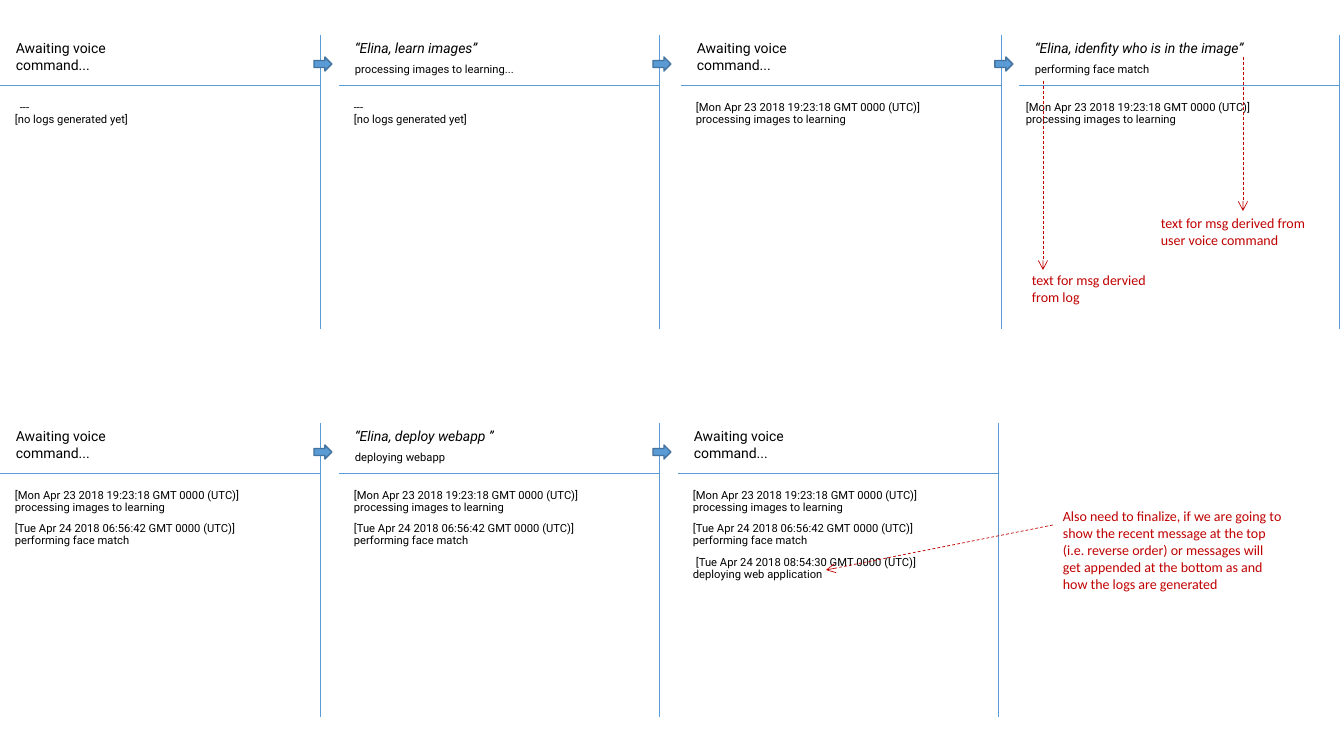
from pptx import Presentation
from pptx.dml.color import RGBColor
from pptx.enum.dml import MSO_LINE
from pptx.enum.shapes import MSO_CONNECTOR, MSO_SHAPE
from pptx.oxml.ns import qn
from pptx.util import Emu, Pt
from lxml.etree import SubElement

COLORS = {"text": "000000", "rule": "5B9BD5", "arrow_edge": "43739E", "note": "C00000"}
PANEL_W, PANEL_H, HEADER_H = 320, 294, 50
WAITING = "Awaiting voice command..."
LEARN = ("[Mon Apr 23 2018 19:23:18 GMT 0000 (UTC)]", "processing images to learning", 0)
MATCH = ("[Tue Apr 24 2018 06:56:42 GMT 0000 (UTC)]", "performing face match", 0)
DEPLOY = ("[Tue Apr 24 2018 08:54:30 GMT 0000 (UTC)]", "deploying web application", 3)
NO_LOGS = "[no logs generated yet]"

# left, title, status, log entries (stamp, message, stamp indent), log offset
ROWS = {
    35: [
        (0, WAITING, "", [("---", NO_LOGS, 5)], 5),
        (339, "“Elina, learn images”", "processing images to learning...",
         [("---", NO_LOGS, 0)], 5),
        (681, WAITING, "", [LEARN], 5),
        (1019, "“Elina, idenfity who is in the image”", "performing face match",
         [LEARN], -3),
    ],
    423: [
        (0, WAITING, "", [LEARN, MATCH], 5),
        (339, "“Elina, deploy webapp ”", "deploying webapp", [LEARN, MATCH], 5),
        (678, WAITING, "", [LEARN, MATCH, DEPLOY], 5),
    ],
}
NOTES = [
    (1022, 267, 141, 44, "text for msg dervied from log"),
    (1151, 210, 171, 44, "text for msg derived from user voice command"),
    (1053, 503, 241, 95,
     "Also need to finalize, if we are going to show the recent message at the top "
     "(i.e. reverse order) or messages will get appended at the bottom as and "
     "how the logs are generated"),
]
POINTERS = [(1243, 57, 1243, 211), (1043, 81, 1043, 270), (1053, 525, 826, 570)]


def px(n):
    """Turn pixels into EMU."""
    return Emu(round(n * 914400 / 100.8))


def rgb(name):
    """Look up a named colour."""
    return RGBColor.from_string(COLORS[name])


def add_text(slide, x, y, w, h, lines, size, font="Roboto", color="text",
             italic=False, spacing=None, indents=()):
    """Add a text box with one paragraph per line."""
    tf = slide.shapes.add_textbox(px(x), px(y), px(w), px(h)).text_frame
    tf.word_wrap = True
    tf.text = "\n".join(lines)
    for p in tf.paragraphs:
        p.font.size, p.font.name, p.font.italic = Pt(size), font, italic
        p.font.color.rgb = rgb(color)
        if spacing:
            p.line_spacing = spacing
    for p, indent in zip(tf.paragraphs, indents):
        if indent:
            p._p.get_or_add_pPr().set("marL", str(px(indent)))


def add_line(slide, x1, y1, x2, y2, color="rule", pointer=False):
    """Add a thin rule, or a dashed line with an arrowhead."""
    c = slide.shapes.add_connector(MSO_CONNECTOR.STRAIGHT, px(x1), px(y1), px(x2), px(y2))
    c.line.width = Pt(0.5)
    c.line.color.rgb = rgb(color)
    if pointer:
        c.line.dash_style = MSO_LINE.DASH
        SubElement(c.line._get_or_add_ln(), qn("a:tailEnd"), type="arrow")
    SubElement(c._element.spPr, qn("a:effectLst"))


def add_step_arrow(slide, x, y):
    """Add a block arrow leading to the next panel."""
    sp = slide.shapes.add_shape(MSO_SHAPE.RIGHT_ARROW, px(x), px(y), px(18), px(14))
    sp.shadow.inherit = False
    sp.fill.solid()
    sp.fill.fore_color.rgb = rgb("rule")
    sp.line.color.rgb = rgb("arrow_edge")
    sp.line.width = Pt(1)


def add_panel(slide, x, y, title, status, entries, log_dx):
    """Add one screen with its header, log and borders."""
    spoken = title != WAITING
    add_text(slide, x + 6, y, 250 if spoken else 160, 27, [title], 10, italic=spoken)
    if status:
        add_text(slide, x + 6, y + 22, 200, 23, [status], 8)
    stamps, messages, indents = zip(*entries)
    log_h = 10 + 34 * len(entries)
    add_text(slide, x + log_dx, y + 40, 259, log_h, stamps, 8, spacing=2.5, indents=indents)
    add_text(slide, x + log_dx, y + 52, 302, log_h, messages, 8, spacing=2.5)
    add_line(slide, x, y + HEADER_H, x + PANEL_W, y + HEADER_H)
    add_line(slide, x + PANEL_W, y, x + PANEL_W, y + PANEL_H)


def main():
    """Build the slide and save it."""
    prs = Presentation()
    prs.slide_width, prs.slide_height = px(1344), px(756)
    slide = prs.slides.add_slide(prs.slide_layouts[6])
    for y, panels in ROWS.items():
        for x, *content in panels:
            add_panel(slide, x, y, *content)
        for x, *_ in panels[:-1]:
            add_step_arrow(slide, x + PANEL_W - 6, y + 22)
    for x, y, w, h, note in NOTES:
        add_text(slide, x, y, w, h, [note], 10, "Calibri", "note")
    for ends in POINTERS:
        add_line(slide, *ends, color="note", pointer=True)
    prs.save("out.pptx")


if __name__ == "__main__":
    main()
